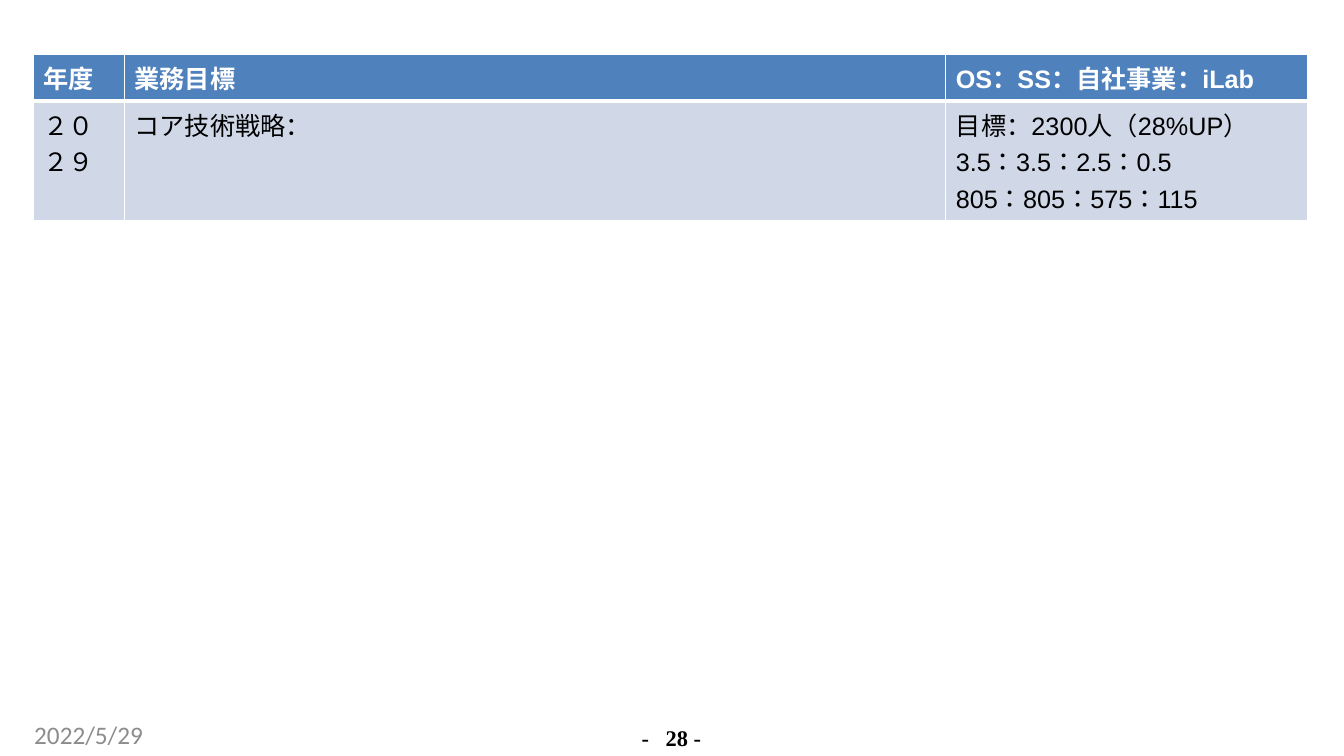
from dataclasses import dataclass

from lxml.etree import SubElement
from pptx import Presentation
from pptx.dml.color import RGBColor
from pptx.enum.text import MSO_ANCHOR, PP_ALIGN as Align
from pptx.oxml.ns import qn
from pptx.slide import Slide
from pptx.table import _Cell as Cell
from pptx.text.text import _Paragraph as Paragraph
from pptx.util import Pt

EAST_ASIAN_FONT = "Noto Sans CJK JP"


@dataclass
class RowStyle:
    height: float
    fill: str
    color: str
    bold: bool
    top_border: float
    bottom_border: float


@dataclass
class Label:
    text: str
    left: float
    top: float
    width: float
    height: float
    font: str
    size: float
    color: str
    bold: bool = False
    align: Align = Align.LEFT


def rgb(value: str) -> RGBColor:
    return RGBColor.from_string(value)


def style_paragraph(paragraph: Paragraph, name: str, size: float,
                    color: str, bold: bool) -> None:
    font = paragraph.font
    font.name, font.size, font.bold = name, Pt(size), bold
    font.color.rgb = rgb(color)
    SubElement(font._element, qn("a:ea"), typeface=EAST_ASIAN_FONT)


def add_borders(cell: Cell, style: RowStyle) -> None:
    properties = cell._tc.get_or_add_tcPr()
    widths = {"L": 1, "R": 1, "T": style.top_border, "B": style.bottom_border}
    for side, width in widths.items():
        line = SubElement(properties, qn(f"a:ln{side}"), w=str(Pt(width)))
        fill = SubElement(line, qn("a:solidFill"))
        SubElement(fill, qn("a:srgbClr"), val="FFFFFF")


def fill_cell(cell: Cell, text: str, style: RowStyle) -> None:
    add_borders(cell, style)  # borders come before the fill in the schema
    cell.fill.solid()
    cell.fill.fore_color.rgb = rgb(style.fill)
    cell.text = text
    for paragraph in cell.text_frame.paragraphs:
        style_paragraph(paragraph, "Arial", 18, style.color, style.bold)


def add_goal_table(slide: Slide) -> None:
    columns = [64.8, 586.8, 258.5]
    rows = [
        (RowStyle(29.5, "4F81BD", "FFFFFF", True, 1, 3),
         ["年度", "業務目標", "OS：SS：自社事業：iLab"]),
        (RowStyle(72, "D0D8E8", "000000", False, 3, 1),
         ["２０２９", "コア技術戦略：",
          "目標：2300人（28%UP）\n3.5：3.5：2.5：0.5\n805：805：575：115"]),
    ]
    height = sum(style.height for style, _ in rows)
    table = slide.shapes.add_table(len(rows), len(columns), Pt(24), Pt(39),
                                   Pt(sum(columns)), Pt(height)).table
    for column, width in zip(table.columns, columns):
        column.width = Pt(width)
    for row, (style, texts) in zip(table.rows, rows):
        row.height = Pt(style.height)
        for cell, text in zip(row.cells, texts):
            fill_cell(cell, text, style)


def add_label(slide: Slide, label: Label) -> Paragraph:
    shape = slide.shapes.add_textbox(Pt(label.left), Pt(label.top),
                                     Pt(label.width), Pt(label.height))
    frame = shape.text_frame
    frame.word_wrap = True
    frame.vertical_anchor = MSO_ANCHOR.TOP
    frame.margin_left = frame.margin_right = 0
    frame.margin_top = frame.margin_bottom = 0
    paragraph = frame.paragraphs[0]
    paragraph.text = label.text
    paragraph.alignment = label.align
    style_paragraph(paragraph, label.font, label.size, label.color, label.bold)
    return paragraph


def add_footer(slide: Slide) -> None:
    page = add_label(slide, Label("-\t28 -", 448.5, 517.7, 62, 18,
                                  "Times New Roman", 16, "000000", True,
                                  Align.CENTER))
    page.line_spacing = Pt(18.4)
    # Tab stop between the dash and the page number
    tabs = SubElement(page._p.get_or_add_pPr(), qn("a:tabLst"))
    SubElement(tabs, qn("a:tab"), pos=str(Pt(17.3)), algn="l")
    page._p.pPr.insert(1, tabs)
    add_label(slide, Label("2022/5/29", 24.5, 514, 221, 21.6,
                           "Calibri", 18, "8C8C8C"))


def main() -> None:
    presentation = Presentation()
    presentation.slide_width, presentation.slide_height = Pt(960), Pt(540)
    slide = presentation.slides.add_slide(presentation.slide_layouts[6])
    add_goal_table(slide)
    add_footer(slide)
    presentation.save("out.pptx")


if __name__ == "__main__":
    main()
